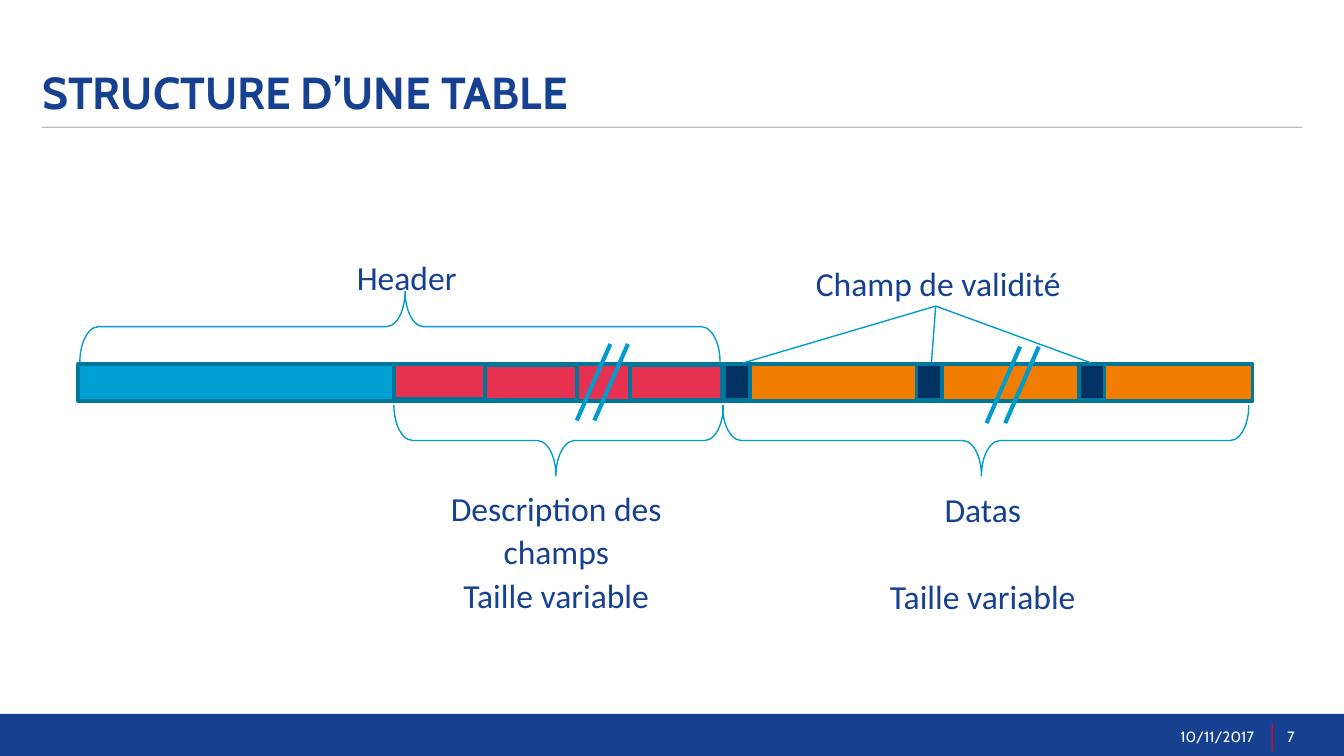
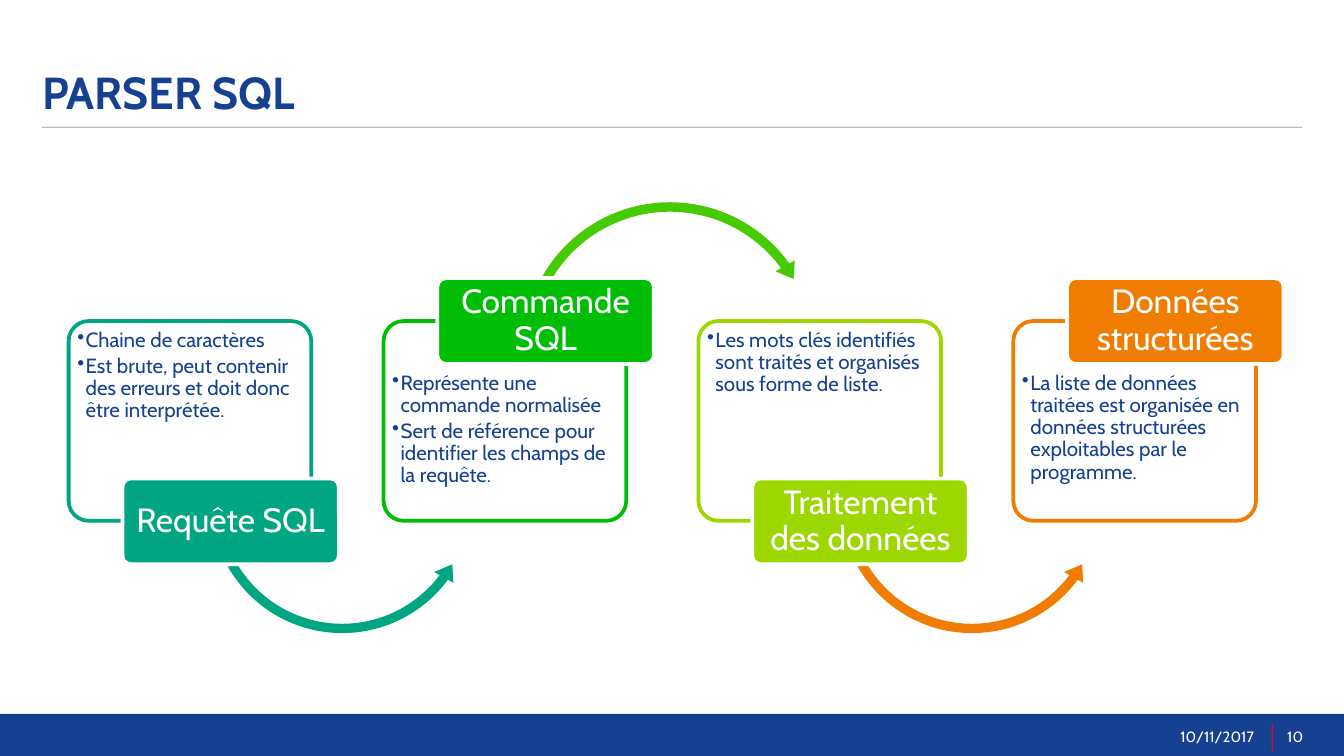
from lxml.etree import SubElement
from pptx import Presentation
from pptx.dml.color import RGBColor
from pptx.enum.shapes import MSO_CONNECTOR as Link, MSO_SHAPE as Kind
from pptx.enum.text import MSO_ANCHOR as Anchor, PP_ALIGN as Align
from pptx.oxml.ns import qn
from pptx.util import Pt

WIDE, HIGH = 720, 405
NAVY, WHITE, GREY, RED = "164191", "FFFFFF", "BBBBBB", "E1051E"
SKY, PINK, ORANGE, DARK = "00A0D2", "E63250", "F07D00", "003264"
EDGE, LINE = "00769B", "009CCD"
TEAL, GREEN, LEAF, LIME = "00A582", "00BE06", "46CB00", "9CD700"
HEAD, BODY = "Cabin", "Calibri"
DATE = "10/11/2017"


def rgb(code):
    return RGBColor.from_string(code)


def pts(*nums):
    return [Pt(n) for n in nums]


def shape(slide, kind, box, fill=None, edge=None, width=2, adj=()):
    item = slide.shapes.add_shape(kind, *pts(*box))
    item.shadow.inherit = False
    if fill:
        item.fill.solid()
        item.fill.fore_color.rgb = rgb(fill)
    else:
        item.fill.background()
    if edge:
        item.line.color.rgb = rgb(edge)
        item.line.width = Pt(width)
    else:
        item.line.fill.background()
    for i, val in enumerate(adj):
        item.adjustments[i] = val
    return item


def line(slide, start, end, width):
    item = slide.shapes.add_connector(Link.STRAIGHT, *pts(*start, *end))
    item.line.color.rgb = rgb(LINE)
    item.line.width = Pt(width)
    SubElement(item._element.spPr, qn("a:effectLst"))


def write(item, rows, size, font, color, align=Align.LEFT, anchor=Anchor.TOP,
          pads=(7.2, 3.6, 7.2, 3.6), wrap=True, lead=1.0, after=0):
    """Fill the text frame of item, one paragraph per row."""
    frame = item.text_frame
    frame.word_wrap = wrap
    frame.vertical_anchor = anchor
    (frame.margin_left, frame.margin_top,
     frame.margin_right, frame.margin_bottom) = pts(*pads)
    frame.text = "\n".join(rows)
    for para in frame.paragraphs:
        para.alignment = align
        para.line_spacing = lead
        para.space_after = Pt(after)
        para.font.size = Pt(size)
        para.font.name = font
        para.font.color.rgb = rgb(color)
    return frame.paragraphs


def bullet(para, indent):
    props = para._p.get_or_add_pPr()
    props.set("marL", str(Pt(indent)))
    props.set("indent", str(-Pt(indent)))
    SubElement(props, qn("a:buChar")).set("char", "•")
    # The bullet has to precede the default run properties.
    font = props.find(qn("a:defRPr"))
    if font is not None:
        props.append(font)


def clear(item, percent):
    """Set the opacity of a solid fill."""
    color = item._element.spPr.find(qn("a:solidFill"))[0]
    SubElement(color, qn("a:alpha")).set("val", str(percent * 1000))


def page(deck, title, number):
    """Add a slide with its title, rule and footer band."""
    slide = deck.slides.add_slide(deck.slide_layouts[5])
    shape(slide, Kind.RECTANGLE, (0, 382.5, WIDE, 22.5), NAVY)
    shape(slide, Kind.RECTANGLE, (22.5, 67.9, 675, 0.75), GREY)
    shape(slide, Kind.RECTANGLE, (681.2, 388, 0.75, 14.5), RED)
    head = slide.shapes.title
    head.left, head.top, head.width, head.height = pts(22.5, 9.4, 547, 54)
    para, = write(head, [title], 24, HEAD, NAVY, anchor=Anchor.BOTTOM,
                  pads=(0, 3.6, 7.2, 0))
    para.font.bold = True
    para.space_before = Pt(0)
    for text, x, w, align in ((DATE, 595, 84, Align.RIGHT),
                              (number, 682.5, 37.5, Align.LEFT)):
        note = slide.shapes.add_textbox(*pts(x, 384, w, 21.5))
        write(note, [text], 8, HEAD, WHITE, align, Anchor.MIDDLE)
    return slide


def brace(slide, x, y, w, h, turn):
    """Draw a brace that covers the given box once it is turned."""
    box = (x + (w - h) / 2, y + (h - w) / 2, h, w)
    item = shape(slide, Kind.RIGHT_BRACE, box, None, LINE, 0.75,
                 (0.264, 0.508))
    item.rotation = turn


def label(slide, x, y, w, h, *rows):
    item = slide.shapes.add_textbox(*pts(x, y, w, h))
    return write(item, rows, 18, BODY, NAVY, Align.CENTER, lead=1.07)


def layout(slide, x, y, h):
    """Draw the table's file layout as a bar whose corner is x, y."""
    def cell(dx, w, fill=None, dy=0, tall=h):
        shape(slide, Kind.RECTANGLE, (x + dx, y + dy, w, tall), fill, EDGE)

    for dx, w, fill in ((0, 169, SKY), (169, 177, PINK), (346, 283, ORANGE)):
        cell(dx, w, fill)
    for dx in (346, 449, 536):
        cell(dx, 13.7, DARK, tall=19.5)
    for dx, dy in ((504.5, -9.3), (514.5, -9.3), (285, -10.7), (294.4, -10.7)):
        line(slide, (x + dx, y + dy), (x + dx - 18, y + dy + 41), 2.25)
    for dx, dy in ((169, 0), (218, 0.7), (295.7, 0.7)):
        cell(dx, 49, dy=dy, tall=18.7)

    brace(slide, x + 0.8, y - 39, 343, 38, 270)
    brace(slide, x + 169, y + 22, 176.5, 38, 90)
    brace(slide, x + 345, y + 22, 282, 38, 90)

    rows = label(slide, x + 406, y + 62, 157, 68, "Datas", "Taille variable")
    rows[1].space_before = Pt(23.5)
    label(slide, x + 190, y + 61.5, 132, 68,
          "Description des champs", "Taille variable")
    label(slide, x + 134.4, y - 62.5, 83, 38, "Header")
    valid = shape(slide, Kind.RECTANGLE, (x + 388, y - 59, 145, 27), WHITE)
    write(valid, ["Champ de validité"], 18, BODY, NAVY, wrap=False,
          lead=1.07, after=8)
    for dx in (356, 457, 542.6):
        line(slide, (x + dx, y - 0.5), (x + 459.3, y - 31), 0.75)


def step(slide, x, y, low, name, color, rows, arrow):
    """Draw a card with its name tag, low or high, and the arrow onward."""
    card = shape(slide, Kind.ROUNDED_RECTANGLE, (x, y, 130, 107), WHITE,
                 color, adj=(0.1,))
    clear(card, 90)
    pads = (1.5, 1.5 if low else 24.5, 1.5, 1.5)
    for para in write(card, rows, 11, HEAD, NAVY, pads=pads, lead=0.9,
                      after=2):
        bullet(para, 4.5)
    if arrow and low:
        shape(slide, Kind.LEFT_CIRCULAR_ARROW, (x + 72.7, y + 23, 147.6, 147.6),
              arrow, adj=(0.034, 4.246, 22.001, 90.245, 0.04))
    elif arrow:
        shape(slide, Kind.CIRCULAR_ARROW, (x + 71.3, y - 67, 164.2, 164.2),
              arrow, adj=(0.031, 3.785, 194.46, 125.755, 0.036))
    tag = shape(slide, Kind.ROUNDED_RECTANGLE,
                (x + 28.8, y + (84.3 if low else -23), 116, 46),
                color, WHITE, adj=(0.1,))
    write(tag, [name], 18, HEAD, WHITE, Align.CENTER, Anchor.MIDDLE,
          (2.9, 2, 2.9, 2), lead=0.9)


STEPS = [
    ("Requête SQL", TEAL, TEAL,
     ["Chaine de caractères",
      "Est brute, peut contenir des erreurs et doit donc être interprétée."]),
    ("Commande SQL", GREEN, LEAF,
     ["Représente une commande normalisée",
      "Sert de référence pour identifier les champs de la requête."]),
    ("Traitement des données", LIME, ORANGE,
     ["Les mots clés identifiés sont traités et organisés sous forme "
      "de liste."]),
    ("Données structurées", ORANGE, None,
     ["La liste de données traitées est organisée en données structurées "
      "exploitables par le programme."]),
]


def flow(slide, x, y, pitch):
    for i, (name, color, arrow, rows) in enumerate(STEPS):
        step(slide, x + i * pitch, y, i % 2 == 0, name, color, rows, arrow)


def main():
    deck = Presentation()
    deck.slide_width, deck.slide_height = pts(WIDE, HIGH)
    layout(page(deck, "STRUCTURE D’UNE TABLE", "7"), 42, 195, 20)
    flow(page(deck, "PARSER SQL", "10"), 36.8, 172, 168.7)
    deck.save("out.pptx")


if __name__ == "__main__":
    main()
